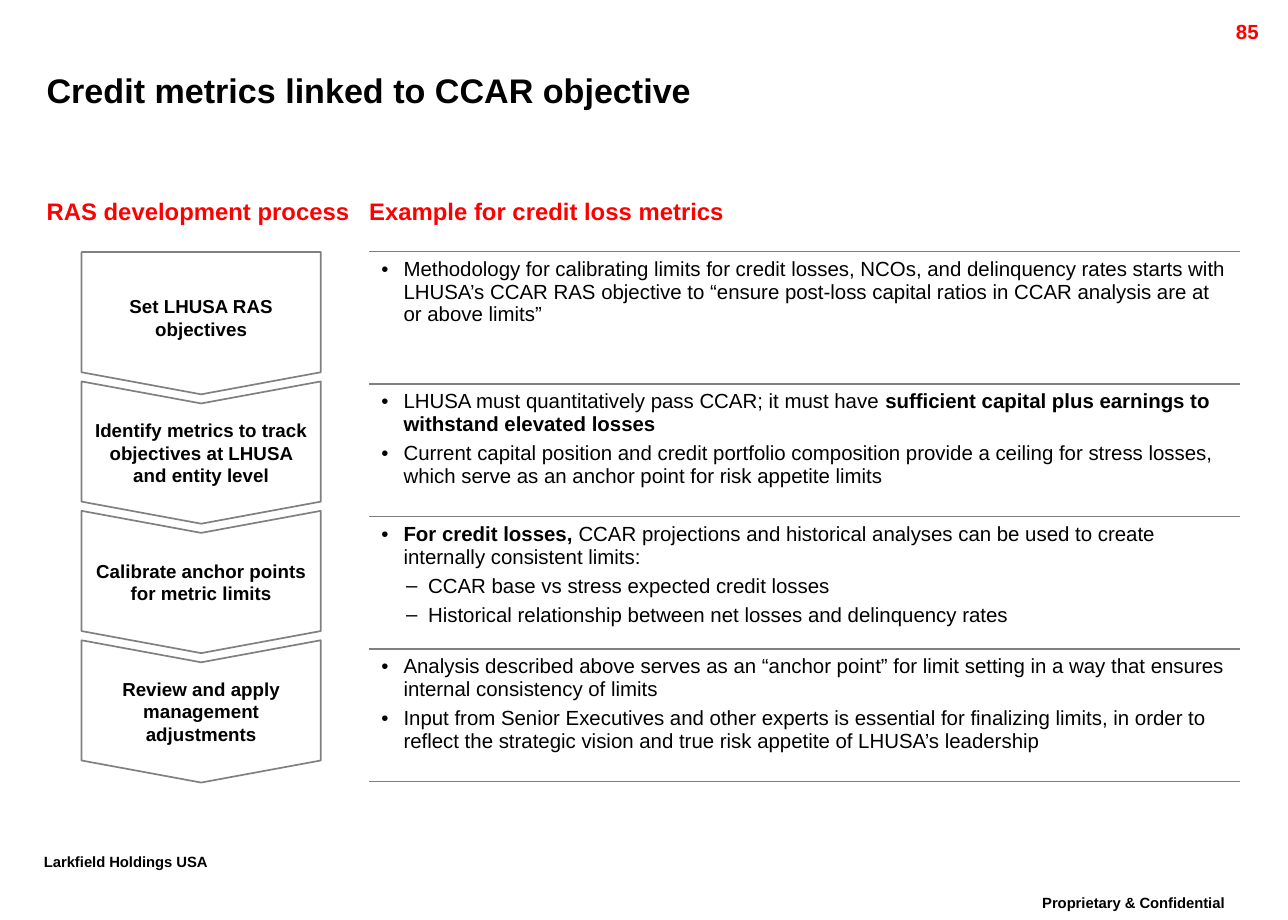
from lxml.etree import SubElement
from pptx import Presentation
from pptx.dml.color import RGBColor
from pptx.enum.shapes import MSO_SHAPE
from pptx.enum.text import MSO_ANCHOR, PP_ALIGN
from pptx.oxml.ns import qn
from pptx.util import Inches, Pt

BLACK = RGBColor(0, 0, 0)
WHITE = RGBColor(255, 255, 255)
RED = RGBColor(255, 0, 0)
GRAY = RGBColor(0x80, 0x80, 0x80)


def add_span(para, text, size, color=BLACK, bold=True):
    span = para.add_run()
    span.text = text
    for name, value in {"name": "Arial", "size": Pt(size), "bold": bold}.items():
        setattr(span.font, name, value)
    span.font.color.rgb = color
    return span


def add_label(page, place, text, size, color=BLACK, inset=0, **paragraph_format):
    box = page.shapes.add_textbox(*[Inches(length) for length in place])
    frame = box.text_frame
    frame.word_wrap = True
    frame.margin_left = frame.margin_right = Inches(inset)
    frame.margin_top = frame.margin_bottom = Inches(inset / 2)
    for name, value in paragraph_format.items():
        setattr(frame.paragraphs[0], name, value)
    add_span(frame.paragraphs[0], text, size, color)
    return frame


deck = Presentation()
deck.slide_width, deck.slide_height = Inches(10.5), Inches(7.5)
page = deck.slides.add_slide(deck.slide_layouts[6])

# Title, page number and column headings
title = add_label(page, (0.38, 0.49, 9.48, 0.48),
                  "Credit metrics linked to CCAR objective", 20)
title.vertical_anchor = MSO_ANCHOR.MIDDLE
add_label(page, (9.36, 0.11, 1, 0.24), "85", 12, RED, 0.1, alignment=PP_ALIGN.RIGHT)
add_label(page, (0.38, 1.6, 2.98, 0.45), "RAS development process", 14, RED)
add_label(page, (3.01, 1.6, 6, 0.45), "Example for credit loss metrics", 14, RED)

# Footers, set as raised text
footers = [
    ((8.15, 7.25, 2.18, 0.32), "Proprietary & Confidential", PP_ALIGN.CENTER),
    ((0.26, 6.91, 2.2, 0.32), "Larkfield Holdings USA", PP_ALIGN.LEFT),
]
for place, text, alignment in footers:
    footer = add_label(page, place, text, 15, inset=0.1,
                       alignment=alignment, line_spacing=0.86)
    footer.paragraphs[0].runs[0].font._element.set("baseline", "30000")

# Process steps: arrows turned to point down, with upright text
steps = [
    "Set LHUSA RAS objectives",
    "Identify metrics to track objectives at LHUSA and entity level",
    "Calibrate anchor points for metric limits",
    "Review and apply management adjustments",
]
STEP_PITCH = 1.055
for index, text in enumerate(steps):
    outline = MSO_SHAPE.CHEVRON if index else MSO_SHAPE.PENTAGON
    step = page.shapes.add_shape(outline, Inches(1.06), Inches(1.66 + index * STEP_PITCH),
                                 Inches(1.16), Inches(1.95))
    step.rotation = 90
    step.adjustments[0] = 0.155
    step.shadow.inherit = False
    step.fill.solid()
    step.fill.fore_color.rgb = WHITE
    step.line.color.rgb = GRAY
    step.line.width = Pt(1)
    frame = step.text_frame
    frame.word_wrap = True
    frame.vertical_anchor = MSO_ANCHOR.MIDDLE
    for side in ("left", "right", "top", "bottom"):
        setattr(frame, f"margin_{side}", Inches(0.08))
    body = frame._txBody.find(qn("a:bodyPr"))
    body.set("rot", "10800000")
    body.set("vert", "vert")
    frame.paragraphs[0].alignment = PP_ALIGN.CENTER
    add_span(frame.paragraphs[0], text, 11)

# Example table: each paragraph is a bullet and its (text, bold) spans
rows = [
    [("•", [("Methodology for calibrating limits for credit losses, NCOs, and delinquency "
             "rates starts with LHUSA’s CCAR RAS objective to “ensure post-loss capital "
             "ratios in CCAR analysis are at or above limits”", False)])],
    [("•", [("LHUSA must quantitatively pass CCAR; it must have ", False),
            ("sufficient capital plus earnings to withstand elevated losses", True)]),
     ("•", [("Current capital position and credit portfolio composition provide a ceiling "
             "for stress losses, which serve as an anchor point for risk appetite limits",
             False)])],
    [("•", [("For credit losses, ", True),
            ("CCAR projections and historical analyses can be used to create internally "
             "consistent limits:", False)]),
     ("–", [("CCAR base vs stress expected credit losses", False)]),
     ("–", [("Historical relationship between net losses and delinquency rates", False)])],
    [("•", [("Analysis described above serves as an “anchor point” for limit setting in a "
             "way that ensures internal consistency of limits", False)]),
     ("•", [("Input from Senior Executives and other experts is essential for finalizing "
             "limits, in order to reflect the strategic vision and true risk appetite of "
             "LHUSA’s leadership", False)])],
]
BULLET_INDENTS = {"•": 0.18, "–": 0.38}
table = page.shapes.add_table(len(rows), 1, Inches(3.01), Inches(2.05),
                              Inches(7.1), Inches(4.32)).table
table.first_row = table.horz_banding = False
for index, paragraphs in enumerate(rows):
    cell = table.cell(index, 0)

    # Rules above and below, none at the sides
    properties = cell._tc.get_or_add_tcPr()
    for side in ("lnL", "lnR", "lnT", "lnB"):
        border = SubElement(properties, qn(f"a:{side}"), w=str(Pt(1)))
        if side in ("lnT", "lnB"):
            fill = SubElement(border, qn("a:solidFill"))
            SubElement(fill, qn("a:srgbClr"), val=str(GRAY))
        else:
            SubElement(border, qn("a:noFill"))
    cell.fill.background()

    # Bulleted text
    for number, (bullet, spans) in enumerate(paragraphs):
        frame = cell.text_frame
        para = frame.add_paragraph() if number else frame.paragraphs[0]
        if number:
            para.space_before = Pt(3.6)
        layout = para._p.get_or_add_pPr()
        layout.set("marL", str(Inches(BULLET_INDENTS[bullet])))
        layout.set("indent", str(-Inches(0.18)))
        SubElement(layout, qn("a:buFont"), typeface="Arial")
        SubElement(layout, qn("a:buChar"), char=bullet)
        for text, bold in spans:
            add_span(para, text, 12, bold=bold)

deck.save("out.pptx")
